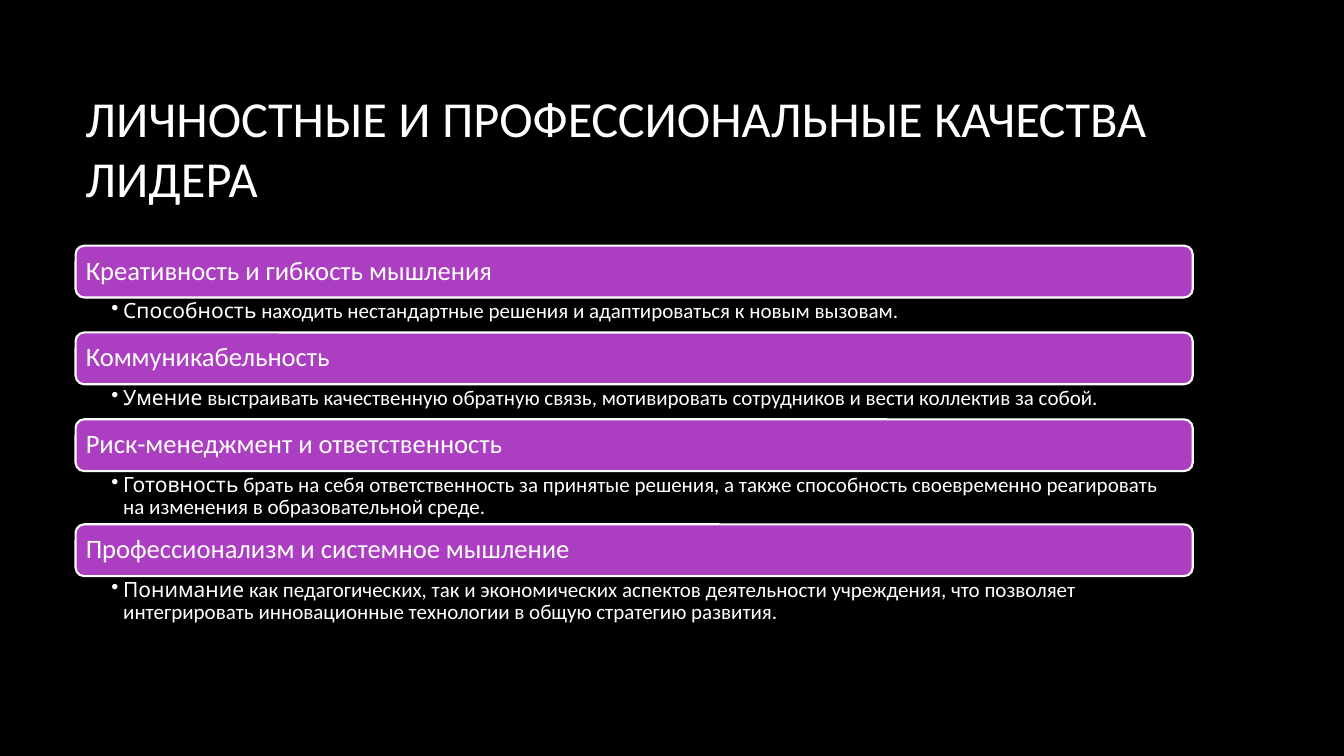
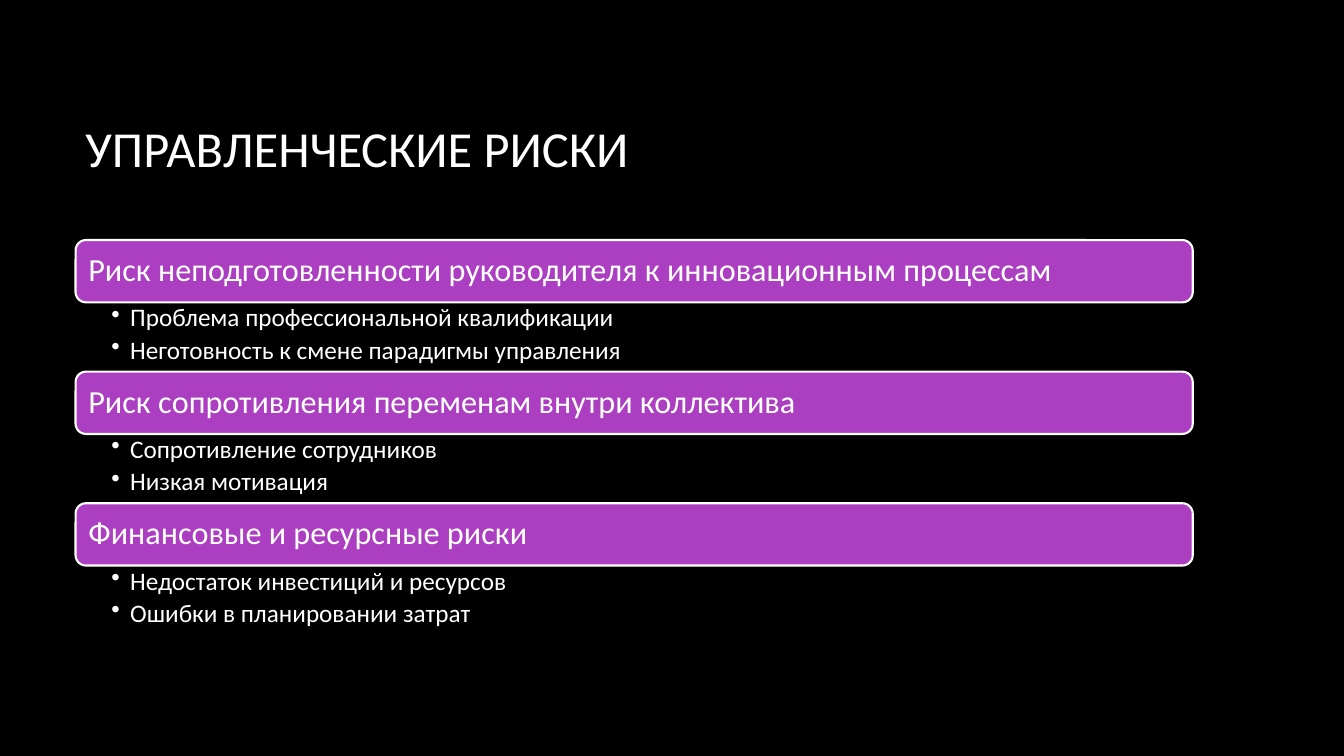
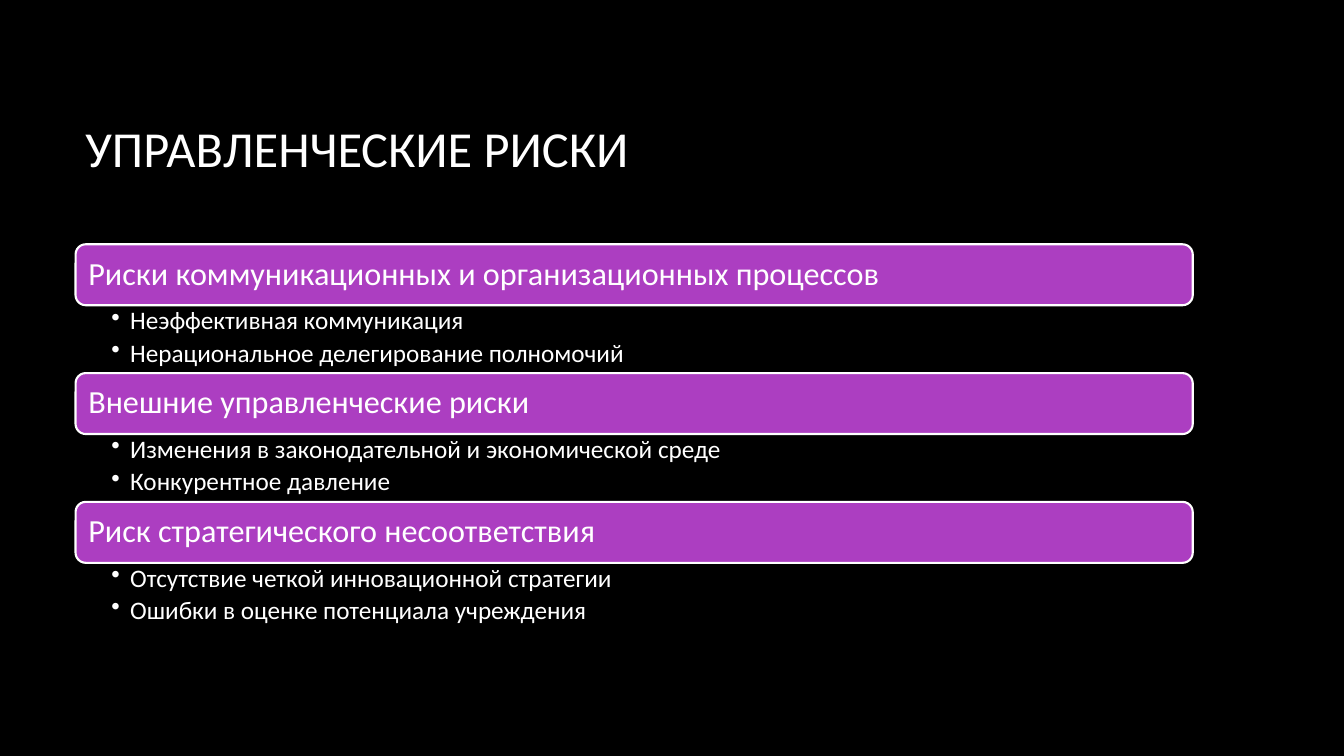
from dataclasses import dataclass

from lxml import etree
from pptx import Presentation
from pptx import util as u
from pptx.dml.color import RGBColor
from pptx.enum import shapes, text
from pptx.oxml import ns

PX = 6350


@dataclass(frozen=True)
class Theme:
    background: RGBColor = RGBColor.from_string("000000")
    ink: RGBColor = RGBColor.from_string("FFFFFF")
    band: RGBColor = RGBColor.from_string("AC3EC1")
    font: str = "Calibri"
    lead_font: str = "Cabin"
    title_size: int = 36
    outline: float = 1.5


@dataclass(frozen=True)
class ListStyle:
    top: int
    band_height: int
    heading_size: int
    heading_inset: int
    detail_size: int
    bullet_indent: int
    right_inset: int


THEME = Theme()
LEFT, WIDTH = 108, 1596
TITLE_TOP, TITLE_HEIGHT = 96, 229
DETAIL_LEFT_INSET, DETAIL_INSET = 51, 4

QUALITIES_STYLE = ListStyle(351, 74, 19, 11, 15, 17, 21)
RISKS_STYLE = ListStyle(343, 89, 23, 14, 18, 27, 26)
MORE_RISKS_STYLE = ListStyle(349, 87, 23, 14, 18, 27, 26)

QUALITIES = [
    ("Креативность и гибкость мышления", 50, [
        ("Способность", " находить нестандартные решения и адаптироваться к новым вызовам.")]),
    ("Коммуникабельность", 50, [
        ("Умение", " выстраивать качественную обратную связь, мотивировать сотрудников "
                   "и вести коллектив за собой.")]),
    ("Риск-менеджмент и ответственность", 76, [
        ("Готовность", " брать на себя ответственность за принятые решения, а также способность "
                       "своевременно реагировать на изменения в образовательной среде.")]),
    ("Профессионализм и системное мышление", 76, [
        ("Понимание", " как педагогических, так и экономических аспектов деятельности учреждения, "
                      "что позволяет интегрировать инновационные технологии в общую стратегию "
                      "развития.")]),
]
RISKS = [
    ("Риск неподготовленности руководителя к инновационным процессам", 99, [
        ("", "Проблема профессиональной квалификации"),
        ("", "Неготовность к смене парадигмы управления")]),
    ("Риск сопротивления переменам внутри коллектива", 99, [
        ("", "Сопротивление сотрудников"),
        ("", "Низкая мотивация")]),
    ("Финансовые и ресурсные риски", 99, [
        ("", "Недостаток инвестиций и ресурсов"),
        ("", "Ошибки в планировании затрат")]),
]
MORE_RISKS = [
    ("Риски коммуникационных и организационных процессов", 97, [
        ("", "Неэффективная коммуникация"),
        ("", "Нерациональное делегирование полномочий")]),
    ("Внешние управленческие риски", 97, [
        ("", "Изменения в законодательной и экономической среде"),
        ("", "Конкурентное давление")]),
    ("Риск стратегического несоответствия", 97, [
        ("", "Отсутствие четкой инновационной стратегии"),
        ("", "Ошибки в оценке потенциала учреждения")]),
]
SLIDES = [
    ("ЛИЧНОСТНЫЕ И ПРОФЕССИОНАЛЬНЫЕ КАЧЕСТВА ЛИДЕРА", QUALITIES_STYLE, QUALITIES),
    ("УПРАВЛЕНЧЕСКИЕ РИСКИ", RISKS_STYLE, RISKS),
    ("УПРАВЛЕНЧЕСКИЕ РИСКИ", MORE_RISKS_STYLE, MORE_RISKS),
]


def box(top, height):
    return [length * PX for length in (LEFT, top, WIDTH, height)]


def set_frame(frame, left, top, right, bottom, anchor):
    frame.margin_left, frame.margin_top = left * PX, top * PX
    frame.margin_right, frame.margin_bottom = right * PX, bottom * PX
    frame.word_wrap = True
    frame.auto_size = text.MSO_AUTO_SIZE.NONE
    frame.vertical_anchor = anchor


def set_font(paragraph, size):
    paragraph.alignment = text.PP_ALIGN.LEFT
    paragraph.font.name = THEME.font
    paragraph.font.size = u.Pt(size)
    paragraph.font.color.rgb = THEME.ink


def set_bullet(paragraph, indent):
    properties = paragraph._p.get_or_add_pPr()
    properties.set("marL", str(indent * PX))
    properties.set("indent", str(-indent * PX))
    etree.SubElement(properties, ns.qn("a:buChar")).set("char", "•")


def add_title(slide, wording):
    title = slide.shapes.title
    title.left, title.top, title.width, title.height = box(TITLE_TOP, TITLE_HEIGHT)
    title.text_frame.text = wording
    set_frame(title.text_frame, 14, 7, 14, 7, text.MSO_ANCHOR.MIDDLE)
    set_font(title.text_frame.paragraphs[0], THEME.title_size)


def add_band(slide, top, heading, style):
    band = slide.shapes.add_shape(
        shapes.MSO_SHAPE.ROUNDED_RECTANGLE, *box(top, style.band_height))
    band.shadow.inherit = False
    band.fill.solid()
    band.fill.fore_color.rgb = THEME.band
    band.line.color.rgb = THEME.ink
    band.line.width = u.Pt(THEME.outline)
    band.text_frame.text = heading
    set_frame(band.text_frame, *[style.heading_inset] * 4, text.MSO_ANCHOR.MIDDLE)
    paragraph = band.text_frame.paragraphs[0]
    paragraph.line_spacing = 0.9
    set_font(paragraph, style.heading_size)


def add_details(slide, top, height, details, style):
    frame = slide.shapes.add_textbox(*box(top, height)).text_frame
    set_frame(frame, DETAIL_LEFT_INSET, DETAIL_INSET, style.right_inset, DETAIL_INSET,
              text.MSO_ANCHOR.TOP)
    for index, (lead, rest) in enumerate(details):
        paragraph = frame.add_paragraph() if index else frame.paragraphs[0]
        paragraph.level = 1
        paragraph.line_spacing = 0.9
        paragraph.space_after = u.Pt(style.detail_size * 0.2)
        set_bullet(paragraph, style.bullet_indent)
        set_font(paragraph, style.detail_size)
        if lead:
            lead_run = paragraph.add_run()
            lead_run.text = lead
            lead_run.font.name = THEME.lead_font
        paragraph.add_run().text = rest


def add_topic_slide(deck, title, style, topics):
    slide = deck.slides.add_slide(deck.slide_layouts.get_by_name("Title Only"))
    add_title(slide, title)
    top = style.top
    for heading, details_height, details in topics:
        add_band(slide, top, heading, style)
        top += style.band_height
        add_details(slide, top, details_height, details, style)
        top += details_height


def main():
    deck = Presentation()
    deck.slide_width, deck.slide_height = 1920 * PX, 1080 * PX
    background = deck.slide_master.background.fill
    background.solid()
    background.fore_color.rgb = THEME.background
    for title, style, topics in SLIDES:
        add_topic_slide(deck, title, style, topics)
    deck.save("out.pptx")


if __name__ == "__main__":
    main()
